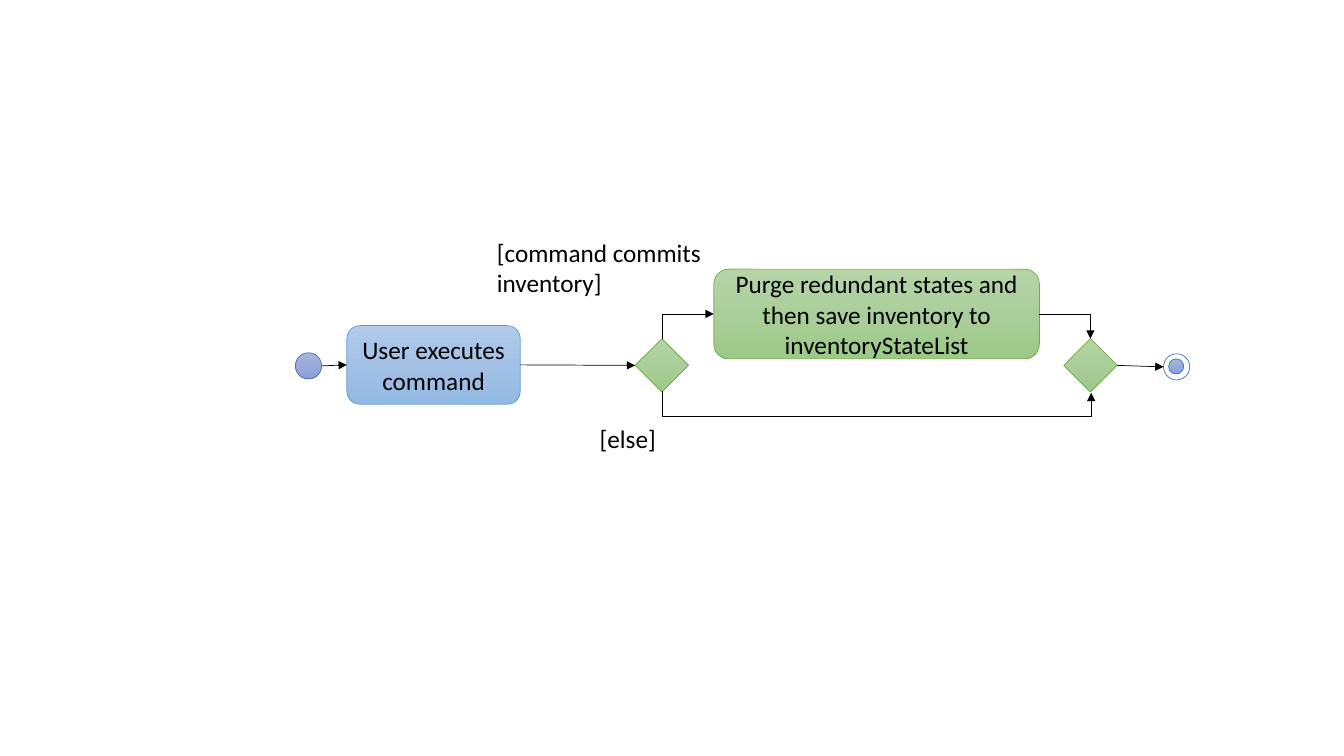
import copy
from dataclasses import dataclass

import pptx
import pptx.dml.color
import pptx.enum.shapes
import pptx.enum.text
import pptx.oxml
import pptx.oxml.ns
import pptx.util
from pptx.util import Inches

SHAPES = pptx.enum.shapes.MSO_SHAPE
LINKS = pptx.enum.shapes.MSO_CONNECTOR
qn = pptx.oxml.ns.qn

# Sides of a shape, in the order of its connection sites
TOP, LEFT, BOTTOM, RIGHT = range(4)


@dataclass(frozen=True)
class Style:
    """Fill stops from top to bottom, and the outline colour."""
    stops: tuple
    outline: str


@dataclass(frozen=True)
class Theme:
    """Colours and type sizes of the diagram."""
    terminal: Style = Style(("A8B7DF", "9AABD9", "889ED7"), "4472C4")
    ring: Style = Style(("FFFFFF",), "4472C4")
    command: Style = Style(("B1CBE9", "A3C1E5", "93B9E4"), "5B9BD5")
    saving: Style = Style(("B5D5A7", "AACE9A", "9CC987"), "70AD47")
    ink: str = "000000"
    font: str = "Calibri"
    text_size: float = 18
    line_width: float = 0.5


THEME = Theme()


def rgb(value):
    """Turn a hex string into a colour."""
    return pptx.dml.color.RGBColor.from_string(value)


def paint(shape, style):
    """Give a shape its fill and outline, without a shadow."""
    shape.shadow.inherit = False
    shape.line.color.rgb = rgb(style.outline)
    shape.line.width = pptx.util.Pt(THEME.line_width)
    if len(style.stops) == 1:
        shape.fill.solid()
        shape.fill.fore_color.rgb = rgb(style.stops[0])
        return
    shape.fill.gradient()
    shape.fill.gradient_angle = 270
    stop_list = shape._element.spPr.find(".//" + qn("a:gsLst"))
    stop_list.append(copy.deepcopy(stop_list[0]))
    for index, stop in enumerate(shape.fill.gradient_stops):
        stop.position = index / (len(style.stops) - 1)
        stop.color.rgb = rgb(style.stops[index])


def write(shape, text, alignment):
    """Write one wrapped paragraph in a shape."""
    frame = shape.text_frame
    frame.word_wrap = True
    para = frame.paragraphs[0]
    para.text = text
    para.alignment = alignment
    para.font.name = THEME.font
    para.font.size = pptx.util.Pt(THEME.text_size)
    para.font.color.rgb = rgb(THEME.ink)


def add_node(parent, kind, left, top, width, height, style, text=""):
    """Add a painted shape, with centred text if any."""
    node = parent.shapes.add_shape(
        kind, Inches(left), Inches(top), Inches(width), Inches(height))
    paint(node, style)
    if text:
        write(node, text, pptx.enum.text.PP_ALIGN.CENTER)
        node.text_frame.vertical_anchor = pptx.enum.text.MSO_ANCHOR.MIDDLE
    return node


def add_guard(slide, left, top, width, height, text):
    """Add the condition that labels a branch."""
    box = slide.shapes.add_textbox(
        Inches(left), Inches(top), Inches(width), Inches(height))
    write(box, text, pptx.enum.text.PP_ALIGN.LEFT)
    box.text_frame.auto_size = pptx.enum.text.MSO_AUTO_SIZE.SHAPE_TO_FIT_TEXT


def add_arrow(slide, source, source_side, target, target_side,
              kind=LINKS.STRAIGHT):
    """Join the sides of two shapes with an arrow."""
    arrow = slide.shapes.add_connector(kind, 0, 0, 0, 0)
    arrow.begin_connect(source, source_side)
    arrow.end_connect(target, target_side)
    for tag, node, side in (("a:stCxn", source, source_side),
                            ("a:endCxn", target, target_side)):
        # A circle has a site at each side and one between each two sides
        if node.auto_shape_type == SHAPES.OVAL:
            arrow._element.find(".//" + qn(tag)).set("idx", str(2 * side))
    arrow.line.color.rgb = rgb(THEME.ink)
    arrow.line.width = pptx.util.Pt(THEME.line_width)
    arrow.line._get_or_add_ln().append(pptx.oxml.parse_xml(
        f'<a:tailEnd {pptx.oxml.ns.nsdecls("a")} type="triangle"/>'))
    properties = arrow._element.spPr
    properties.append(properties.makeelement(qn("a:effectLst"), {}))
    return arrow


def bend(arrow, preset, turn=0, flips=(), adjustment=None):
    """Shape an elbow arrow, turning its frame about its centre."""
    properties = arrow._element.spPr
    geometry = properties.find(qn("a:prstGeom"))
    geometry.set("prst", preset)
    if turn:
        width, height = arrow.width, arrow.height
        arrow.left += (width - height) // 2
        arrow.top += (height - width) // 2
        # A level arrow still needs some width to measure its bend from
        arrow.width = max(height, pptx.util.Pt(1))
        arrow.height = width
    frame = properties.find(qn("a:xfrm"))
    frame.set("rot", str(turn * 60000))
    for name in ("flipH", "flipV"):
        frame.set(name, str(int(name in flips)))
    if adjustment is not None:
        guides = geometry.find(qn("a:avLst"))
        guides.append(guides.makeelement(
            qn("a:gd"), {"name": "adj1", "fmla": f"val {adjustment}"}))


def main():
    """Build the activity diagram and save it."""
    deck = pptx.Presentation()
    deck.slide_width, deck.slide_height = Inches(13.33), Inches(7.5)
    slide = deck.slides.add_slide(deck.slide_layouts[6])

    start = add_node(slide, SHAPES.OVAL, 2.93, 3.5, 0.26, 0.26, THEME.terminal)
    execute = add_node(slide, SHAPES.ROUNDED_RECTANGLE, 3.44, 3.23, 1.72, 0.78,
                       THEME.command, "User executes command")
    purge = add_node(slide, SHAPES.ROUNDED_RECTANGLE, 7.08, 2.67, 3.23, 0.89,
                     THEME.saving, "Purge redundant states and then save "
                     "inventory to inventoryStateList")
    branch, merge = [
        add_node(slide, SHAPES.DIAMOND, left, 3.36, 0.53, 0.53, THEME.saving)
        for left in (6.3, 10.55)]
    end = slide.shapes.add_group_shape()
    end_ring = add_node(end, SHAPES.OVAL, 11.54, 3.51, 0.26, 0.26, THEME.ring)
    add_node(end, SHAPES.OVAL, 11.59, 3.56, 0.15, 0.15, THEME.terminal)

    add_guard(slide, 4.83, 2.3, 2.26, 0.71, "[command commits inventory]")
    add_guard(slide, 5.85, 4.15, 0.93, 0.4, "[else]")

    add_arrow(slide, start, RIGHT, execute, LEFT)
    add_arrow(slide, execute, RIGHT, branch, LEFT)
    add_arrow(slide, merge, RIGHT, end_ring, LEFT)
    bend(add_arrow(slide, branch, TOP, purge, LEFT, LINKS.ELBOW),
         "bentConnector2", 90, ("flipH", "flipV"))
    bend(add_arrow(slide, purge, RIGHT, merge, TOP, LINKS.ELBOW),
         "bentConnector2")
    # 18 times the one-point frame drops the line a quarter inch
    bend(add_arrow(slide, branch, BOTTOM, merge, BOTTOM, LINKS.ELBOW),
         "bentConnector3", 270, ("flipH",), 1800000)

    deck.save("out.pptx")


main()
